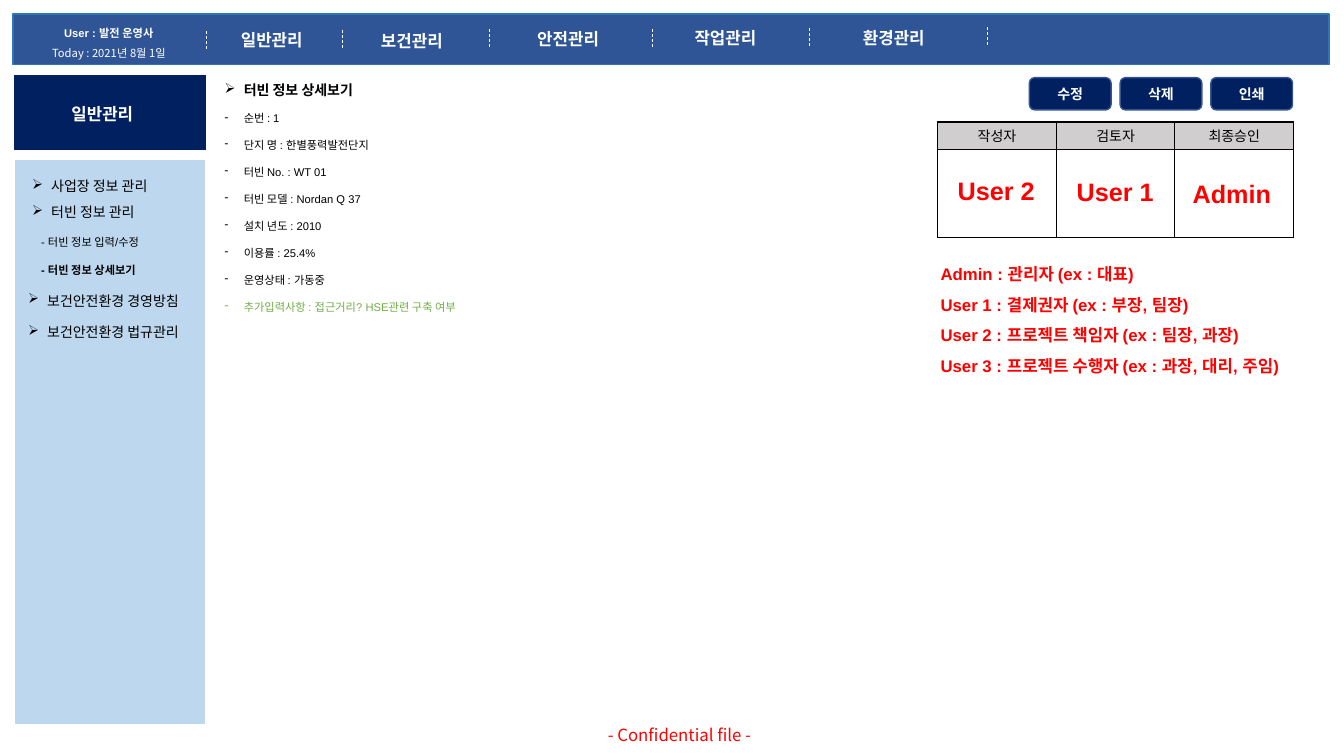
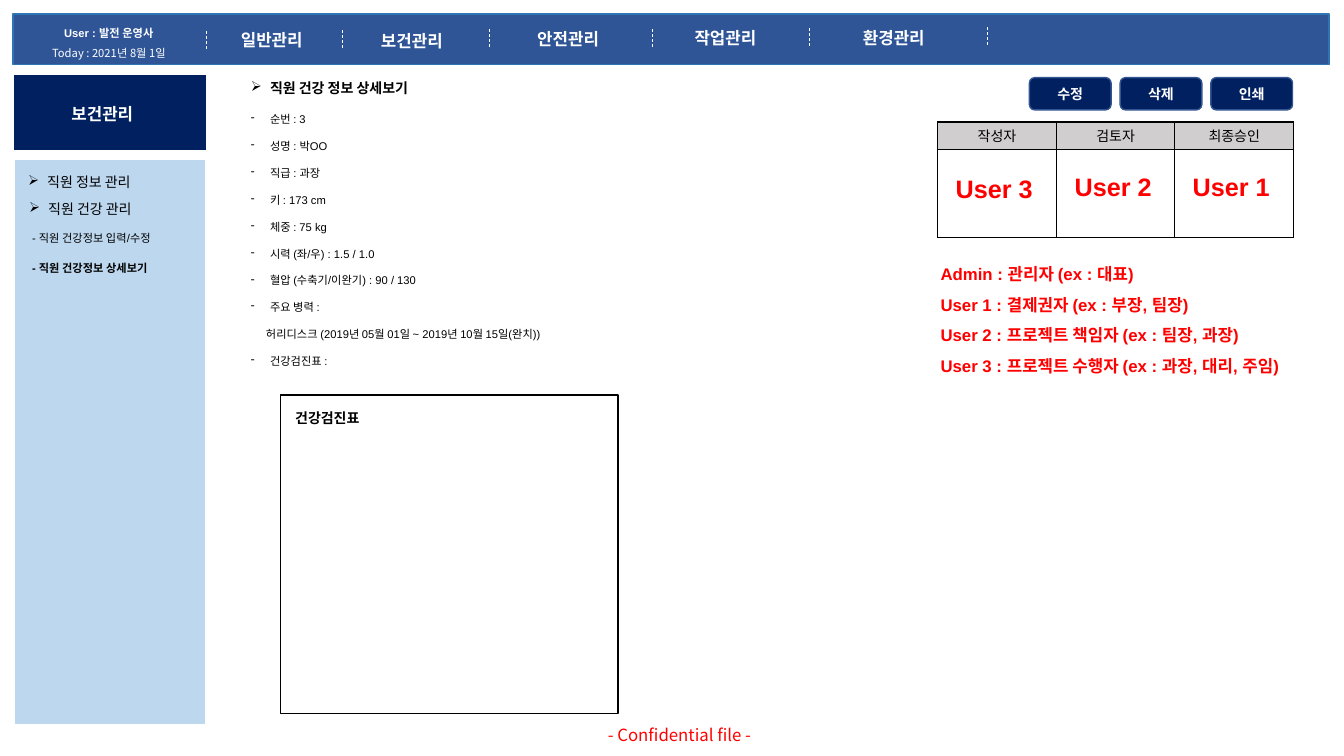
from collections import namedtuple

from lxml.etree import SubElement
from pptx import Presentation
from pptx.dml.color import RGBColor
from pptx.enum.dml import MSO_LINE_DASH_STYLE as Dash
from pptx.enum.shapes import MSO_CONNECTOR_TYPE as Connector, MSO_SHAPE as Preset
from pptx.enum.text import MSO_ANCHOR as Anchor, PP_ALIGN as Align
from pptx.oxml.ns import qn
from pptx.util import Emu, Pt

EMU_PER_PX = 9144
LATIN = "Arial"
KOREAN = "Noto Sans CJK KR"
ARROW = "➢"
DASH = "-"

WHITE = RGBColor(0xFF, 0xFF, 0xFF)
BLACK = RGBColor(0x00, 0x00, 0x00)
NAVY = RGBColor(0x00, 0x20, 0x60)
BAR_BLUE = RGBColor(0x2F, 0x55, 0x97)
BAR_EDGE = RGBColor(0x2E, 0x75, 0xB6)
BUTTON_EDGE = RGBColor(0x32, 0x54, 0x91)
PALE_BLUE = RGBColor(0xBD, 0xD7, 0xEE)
HEADER_GREY = RGBColor(0xD0, 0xCE, 0xCE)
RED = RGBColor(0xFF, 0x00, 0x00)
GREEN = RGBColor(0x70, 0xAD, 0x47)

Box = namedtuple("Box", "left top width height")
Entry = namedtuple("Entry", "text left top is_sub bold", defaults=(False, False))
Detail = namedtuple("Detail", "text bullet color", defaults=(DASH, BLACK))
Stamp = namedtuple("Stamp", "text left top")

TOP_BAR = Box(13, 14, 1305, 50)
SIDEBAR = Box(13, 73, 192, 646)
BUTTON_ROW = Box(1021, 77, 261, 32)
APPROVAL = Box(930, 121, 353, 115)
ROLES = Box(923, 247, 395, 127)
FOOTER = Box(593, 714, 317, 30)

TABS = [
    ("일반관리", 216, 11),
    ("보건관리", 355, 12),
    ("안전관리", 510, 10),
    ("작업관리", 666, 9),
    ("환경관리", 833, 9),
]
DIVIDERS = [(192, 17), (327, 16), (472, 15), (634, 15), (790, 14), (966, 13)]
BUTTONS = ["수정", "삭제", "인쇄"]
APPROVERS = ["작성자", "검토자", "최종승인"]
ROLE_NOTES = [
    "Admin : 관리자 (ex : 대표)",
    "User 1 : 결제권자 (ex : 부장, 팀장)",
    "User 2 : 프로젝트 책임자 (ex : 팀장, 과장)",
    "User 3 : 프로젝트 수행자 (ex : 과장, 대리, 주임)",
]


def px(length):
    return Emu(length * EMU_PER_PX)


def within(region, left, top, width, height):
    return Box(region.left + left, region.top + top, width, height)


def emu(box):
    return [px(length) for length in box]


def write(paragraph, text, size, color=BLACK, bold=False, face=LATIN,
          align=Align.LEFT, pitch=None):
    paragraph.text = text
    paragraph.alignment = align
    if pitch:
        paragraph.line_spacing = Pt(pitch)
    font = paragraph.font
    font.name, font.size, font.bold = face, Pt(size), bold
    font.color.rgb = color


def set_bullet(paragraph, mark, indent=19):
    properties = paragraph._p.get_or_add_pPr()
    properties.set("marL", str(px(indent)))
    properties.set("indent", str(px(-indent if mark else 0)))
    if mark:
        bullet = SubElement(properties, qn("a:buChar"))
        bullet.set("char", mark)
        run_defaults = properties.find(qn("a:defRPr"))
        if run_defaults is not None:
            run_defaults.addprevious(bullet)


def add_frame(slide, box):
    frame = slide.shapes.add_textbox(*emu(box)).text_frame
    frame.word_wrap = True
    return frame


def add_label(slide, box, text, size, **style):
    paragraph = add_frame(slide, box).paragraphs[0]
    write(paragraph, text, size, **style)
    return paragraph


def add_panel(slide, box, fill, edge, weight, preset=Preset.RECTANGLE):
    panel = slide.shapes.add_shape(preset, *emu(box))
    panel.shadow.inherit = False
    if fill is None:
        panel.fill.background()
    else:
        panel.fill.solid()
        panel.fill.fore_color.rgb = fill
    panel.line.color.rgb = edge
    panel.line.width = Pt(weight)
    return panel


def add_divider(slide, left, top, height):
    divider = slide.shapes.add_connector(
        Connector.STRAIGHT, px(left), px(top), px(left), px(top + height))
    divider.line.color.rgb = WHITE
    divider.line.width = Pt(0.5)
    divider.line.dash_style = Dash.DASH
    SubElement(divider._element.spPr, qn("a:effectLst"))


def add_top_bar(slide, region):
    add_panel(slide, region, BAR_BLUE, BAR_EDGE, 1)
    for left, top in DIVIDERS:
        add_divider(slide, region.left + left, region.top + top, 19)
    for name, left, top in TABS:
        add_label(slide, within(region, left, top, 98, 30), name, 12,
                  color=WHITE, bold=True)
    session = add_frame(slide, within(region, 18, 0, 154, 48))
    write(session.paragraphs[0], "User : 발전 운영사", 8, WHITE, True,
          align=Align.CENTER, pitch=14.4)
    write(session.add_paragraph(), "Today : 2021년 8월 1일", 8, WHITE,
          face=KOREAN, align=Align.CENTER, pitch=14.4)


def add_sidebar(slide, region, heading, entries):
    add_panel(slide, within(region, 0, 0, 192, 77), NAVY, WHITE, 1.5)
    add_panel(slide, within(region, 1, 85, 190, 561), PALE_BLUE, WHITE, 1.5)
    add_label(slide, within(region, 48, 25, 98, 30), heading, 12,
              color=WHITE, bold=True)
    for entry in entries:
        box = within(region, entry.left, entry.top, 190, 27)
        label = add_label(slide, box, entry.text, 8 if entry.is_sub else 10,
                          bold=entry.bold)
        if not entry.is_sub:
            set_bullet(label, ARROW)


def add_details(slide, region, title, title_gap, details):
    frame = add_frame(slide, region)
    heading = frame.paragraphs[0]
    write(heading, title, 10, bold=True, pitch=12)
    heading.space_after = Pt(title_gap)
    set_bullet(heading, ARROW)
    for detail in details:
        line = frame.add_paragraph()
        write(line, detail.text, 8, detail.color, pitch=19.2)
        set_bullet(line, detail.bullet, 19 if detail.bullet else 15)


def add_buttons(slide, region):
    width, step = 81, (region.width - 81) // (len(BUTTONS) - 1)
    for index, name in enumerate(BUTTONS):
        box = within(region, index * step, 0, width, region.height)
        button = add_panel(slide, box, NAVY, BUTTON_EDGE, 1, Preset.ROUNDED_RECTANGLE)
        button.text_frame.vertical_anchor = Anchor.MIDDLE
        write(button.text_frame.paragraphs[0], name, 10, WHITE, True, KOREAN,
              Align.CENTER)


def border_cell(cell):
    properties = cell._tc.get_or_add_tcPr()
    for position, side in enumerate(("a:lnL", "a:lnR", "a:lnT", "a:lnB")):
        edge = SubElement(properties, qn(side), w=str(Pt(1)))
        ink = SubElement(SubElement(edge, qn("a:solidFill")), qn("a:srgbClr"))
        ink.set("val", str(BLACK))
        properties.insert(position, edge)


def add_approval(slide, region, stamps):
    grid = slide.shapes.add_table(2, len(APPROVERS), *emu(region)).table
    grid.first_row = grid.horz_banding = False
    header_height = 27
    grid.rows[0].height = px(header_height)
    grid.rows[1].height = px(region.height - header_height)
    for column, approver in enumerate(APPROVERS):
        grid.columns[column].width = Emu(px(region.width) // len(APPROVERS))
        header, signature = grid.cell(0, column), grid.cell(1, column)
        header.fill.solid()
        header.fill.fore_color.rgb = HEADER_GREY
        header.vertical_anchor = Anchor.MIDDLE
        header.margin_top = header.margin_bottom = 0
        write(header.text_frame.paragraphs[0], approver, 10, face=KOREAN,
              align=Align.CENTER)
        signature.fill.background()
        border_cell(header)
        border_cell(signature)
    for stamp in stamps:
        add_label(slide, within(region, stamp.left, stamp.top, 109, 40),
                  stamp.text, 18, color=RED, bold=True)


def add_roles(slide, region):
    frame = add_frame(slide, region)
    for index, note in enumerate(ROLE_NOTES):
        line = frame.add_paragraph() if index else frame.paragraphs[0]
        write(line, note, 12, RED, True, pitch=21.7)


def add_checkup_sheet(slide, region):
    add_panel(slide, region, None, BLACK, 1)
    add_label(slide, within(region, 5, 9, 330, 57), "건강검진표", 10, bold=True)


def add_screen(deck, heading, entries, stamps):
    slide = deck.slides.add_slide(deck.slide_layouts[6])
    add_top_bar(slide, TOP_BAR)
    add_sidebar(slide, SIDEBAR, heading, entries)
    add_buttons(slide, BUTTON_ROW)
    add_approval(slide, APPROVAL, stamps)
    add_roles(slide, ROLES)
    add_label(slide, FOOTER, "- Confidential file -", 12, color=RED, face=KOREAN)
    return slide


def add_turbine_screen(deck):
    entries = [
        Entry("사업장 정보 관리", 9, 98),
        Entry("터빈 정보 관리", 9, 124),
        Entry("- 터빈 정보 입력/수정", 18, 156, True),
        Entry("- 터빈 정보 상세보기", 18, 183, True, True),
        Entry("보건안전환경 경영방침", 5, 212),
        Entry("보건안전환경 법규관리", 5, 243),
    ]
    stamps = [Stamp("User 2", 10, 48), Stamp("User 1", 128, 49), Stamp("Admin", 243, 51)]
    slide = add_screen(deck, "일반관리", entries, stamps)
    add_details(slide, Box(213, 76, 540, 246), "터빈 정보 상세보기", 0, [
        Detail("순번 : 1"),
        Detail("단지 명 : 한별풍력발전단지"),
        Detail("터빈 No. : WT 01"),
        Detail("터빈 모델 : Nordan Q 37"),
        Detail("설치 년도 : 2010"),
        Detail("이용률 : 25.4%"),
        Detail("운영상태 : 가동중"),
        Detail("추가입력사항 : 접근거리? HSE관련 구축 여부", color=GREEN),
    ])


def add_health_screen(deck):
    entries = [
        Entry("직원 정보 관리", 5, 94),
        Entry("직원 건강 관리", 6, 121),
        Entry("- 직원 건강정보 입력/수정", 9, 152, True),
        Entry("- 직원 건강정보 상세보기", 9, 181, True, True),
    ]
    stamps = [Stamp("User 3", 8, 46), Stamp("User 2", 126, 44), Stamp("User 1", 243, 44)]
    slide = add_screen(deck, "보건관리", entries, stamps)
    add_details(slide, Box(239, 74, 540, 326), "직원 건강 정보 상세보기", 2, [
        Detail("순번 : 3"),
        Detail("성명 : 박OO"),
        Detail("직급 : 과장"),
        Detail("키 : 173 cm"),
        Detail("체중 : 75 kg"),
        Detail("시력 (좌/우) : 1.5 / 1.0"),
        Detail("혈압 (수축기/이완기) : 90 / 130"),
        Detail("주요 병력 :"),
        Detail("허리디스크 (2019년 05월 01일 ~ 2019년 10월 15일(완치))", None),
        Detail("건강검진표 :"),
    ])
    add_checkup_sheet(slide, Box(278, 392, 335, 316))


def main():
    deck = Presentation()
    deck.slide_width, deck.slide_height = px(1333), px(750)
    add_turbine_screen(deck)
    add_health_screen(deck)
    deck.save("out.pptx")


if __name__ == "__main__":
    main()
